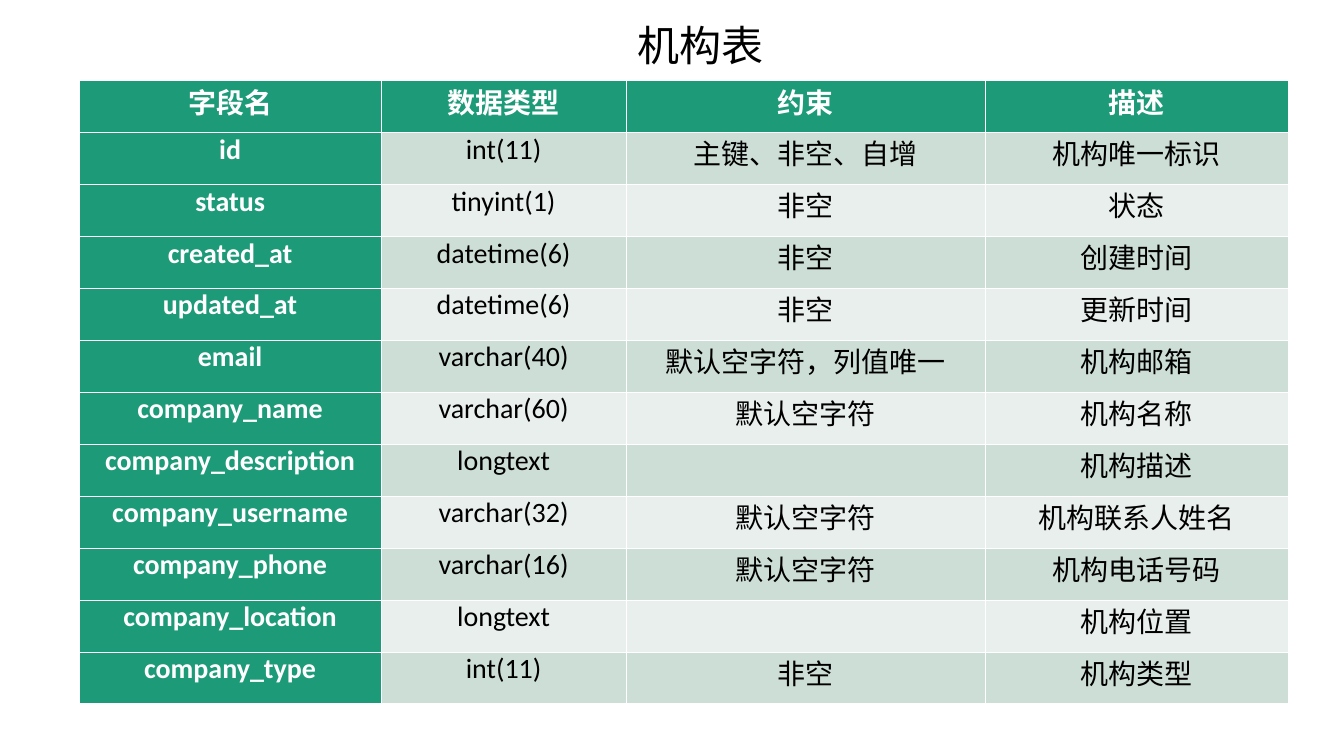
from lxml import etree
from pptx import Presentation
from pptx.dml.color import RGBColor
from pptx.enum.text import MSO_ANCHOR, MSO_AUTO_SIZE, PP_ALIGN
from pptx.oxml.ns import qn
from pptx.util import Pt

CENTER, LEFT = PP_ALIGN.CENTER, PP_ALIGN.LEFT
TOP = MSO_ANCHOR.TOP
NO_AUTOFIT = MSO_AUTO_SIZE.NONE
TITLE_ONLY = 5

# Content
TITLE = "机构表"
HEADER = ("字段名", "数据类型", "约束", "描述")
FIELDS = [
    ("id", "int(11)", "主键、非空、自增", "机构唯一标识"),
    ("status", "tinyint(1)", "非空", "状态"),
    ("created_at", "datetime(6)", "非空", "创建时间"),
    ("updated_at", "datetime(6)", "非空", "更新时间"),
    ("email", "varchar(40)", "默认空字符，列值唯一", "机构邮箱"),
    ("company_name", "varchar(60)", "默认空字符", "机构名称"),
    ("company_description", "longtext", "", "机构描述"),
    ("company_username", "varchar(32)", "默认空字符", "机构联系人姓名"),
    ("company_phone", "varchar(16)", "默认空字符", "机构电话号码"),
    ("company_location", "longtext", "", "机构位置"),
    ("company_type", "int(11)", "非空", "机构类型"),
]

# Style, lengths in points
FONT = "Calibri"
GREEN, WHITE, BLACK = "1D9A78", "FFFFFF", "000000"
BANDS = ("CDDED6", "E8EFEC")
TABLE_LEFT, TABLE_TOP = 113, 115.2
COLUMN_WIDTHS = (431.3, 349.9, 513.4, 432)
ROW_HEIGHT = 74.2
CELL_MARGIN = 5
THIN, THICK = 1, 3


def color(hex_value):
    return RGBColor.from_string(hex_value)


def style_font(font, size, hex_value, bold):
    font.name = FONT
    font.size = Pt(size)
    font.bold = bold
    font.color.rgb = color(hex_value)


def add_borders(cell, top, bottom):
    properties = cell._tc.get_or_add_tcPr()
    widths = {"a:lnL": THIN, "a:lnR": THIN, "a:lnT": top, "a:lnB": bottom}
    for tag, width in widths.items():
        line = etree.SubElement(properties, qn(tag), w=str(Pt(width)))
        fill = etree.SubElement(line, qn("a:solidFill"))
        etree.SubElement(fill, qn("a:srgbClr"), val=WHITE)


def add_title(slide):
    title = slide.shapes.title
    title.left, title.top = Pt(902.9), Pt(24.5)
    title.width, title.height = Pt(196.6), Pt(80)
    frame = title.text_frame
    frame.text = TITLE
    frame.word_wrap = False
    frame.auto_size = NO_AUTOFIT
    frame.vertical_anchor = TOP
    paragraph = frame.paragraphs[0]
    paragraph.alignment = LEFT
    paragraph.line_spacing = 1.0
    style_font(paragraph.runs[0].font, 60, BLACK, False)


def fill_cell(cell, text, row, column):
    is_heading = row == 0 or column == 0
    add_borders(cell, THICK if row == 1 else THIN, THICK if row == 0 else THIN)
    cell.fill.solid()
    cell.fill.fore_color.rgb = color(GREEN if is_heading else BANDS[(row - 1) % 2])
    cell.margin_left = cell.margin_right = Pt(CELL_MARGIN)
    cell.margin_top = cell.margin_bottom = 0
    cell.vertical_anchor = TOP
    paragraph = cell.text_frame.paragraphs[0]
    paragraph.text = text
    paragraph.alignment = CENTER
    for run in paragraph.runs:
        style_font(run.font, 40, WHITE if is_heading else BLACK, is_heading)


def add_field_table(slide):
    rows = [HEADER, *FIELDS]
    table = slide.shapes.add_table(
        len(rows), len(HEADER), Pt(TABLE_LEFT), Pt(TABLE_TOP),
        Pt(sum(COLUMN_WIDTHS)), Pt(ROW_HEIGHT * len(rows))).table
    table.first_col = True
    for column, width in zip(table.columns, COLUMN_WIDTHS):
        column.width = Pt(width)
    for row, texts in enumerate(rows):
        table.rows[row].height = Pt(ROW_HEIGHT)
        for column, text in enumerate(texts):
            fill_cell(table.cell(row, column), text, row, column)


def main():
    presentation = Presentation()
    presentation.slide_width, presentation.slide_height = Pt(1919.5), Pt(1080)
    slide = presentation.slides.add_slide(presentation.slide_layouts[TITLE_ONLY])
    add_field_table(slide)
    add_title(slide)
    presentation.save("out.pptx")


if __name__ == "__main__":
    main()
